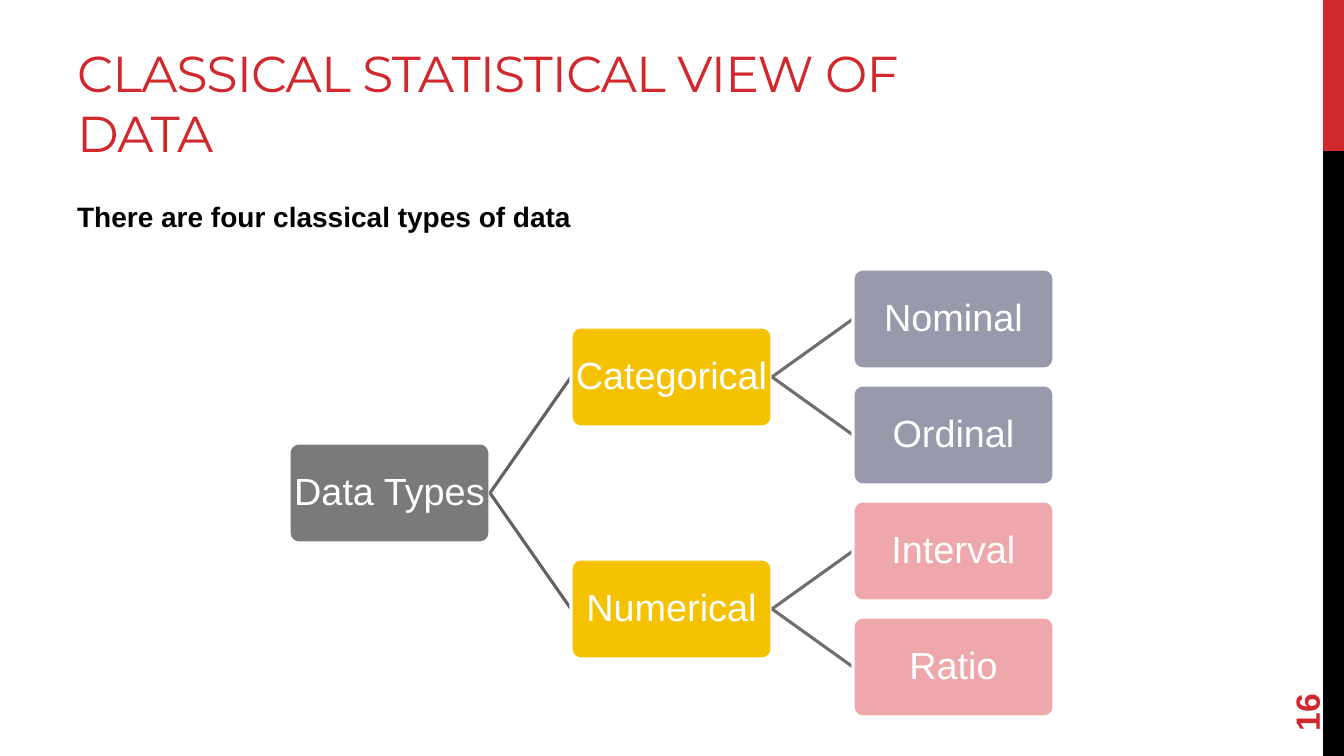
from lxml.etree import SubElement
from pptx import Presentation
from pptx.dml.color import RGBColor
from pptx.enum.shapes import MSO_CONNECTOR, MSO_SHAPE
from pptx.enum.text import MSO_ANCHOR, MSO_AUTO_SIZE, PP_ALIGN
from pptx.oxml.ns import qn
from pptx.util import Pt

PX = 914400 / 100.8  # EMU in one px
COLORS = {
    "red": "D1282E", "black": "000000", "white": "FFFFFF", "gray": "7A7A7A",
    "gold": "F5C201", "slate": "989AAC", "pink": "EEA7AA",
    "root_link": "626262", "leaf_link": "6F6F6F",
}

# Tree layout, in px
COL_X, COL_STEP = 289, 282
ROW_Y, ROW_STEP = 269, 116
NODE_W, NODE_H = 201, 100
LINK_COLORS = ["root_link", "leaf_link"]

# Each node: label, colour, row, children
TREE = ("Data Types", "gray", 1.5, [
    ("Categorical", "gold", 0.5, [
        ("Nominal", "slate", 0, []), ("Ordinal", "slate", 1, [])]),
    ("Numerical", "gold", 2.5, [
        ("Interval", "pink", 2, []), ("Ratio", "pink", 3, [])]),
])


def px(*values):
    return [round(v * PX) for v in values]


def rgb(name):
    return RGBColor.from_string(COLORS[name])


def write(sp, text, color, font, frame, para):
    """Put one formatted paragraph in a shape."""
    tf = sp.text_frame
    for name, value in frame.items():
        setattr(tf, name, value)
    p = tf.paragraphs[0]
    for name, value in para.items():
        setattr(p, name, value)
    r = p.add_run()
    r.text = text
    for name, value in font.items():
        setattr(r.font, name, value)
    r.font.color.rgb = rgb(color)
    return p, r


def place(sp, *box):
    sp.left, sp.top, sp.width, sp.height = px(*box)


def add_box(s, kind, box, color):
    sp = s.shapes.add_shape(kind, *px(*box))
    sp.shadow.inherit = False
    sp.fill.solid()
    sp.fill.fore_color.rgb = rgb(color)
    sp.line.fill.background()
    return sp


def add_link(s, parent, color):
    cn = s.shapes.add_connector(MSO_CONNECTOR.STRAIGHT, 0, 0, 0, 0)
    cn.begin_connect(parent, 3)
    cn.line.color.rgb = rgb(color)
    cn.line.width = Pt(2.25)
    SubElement(cn._element.spPr, qn("a:effectLst"))
    return cn


def add_node(s, node, level=0):
    """Draw a node, then each link followed by the child that it reaches."""
    label, color, row, children = node
    box = (COL_X + level * COL_STEP, ROW_Y + row * ROW_STEP, NODE_W, NODE_H)
    sp = add_box(s, MSO_SHAPE.ROUNDED_RECTANGLE, box, color)
    sp.adjustments[0] = 0.1
    sp.line.color.rgb = rgb("white")
    sp.line.width = Pt(2.25)
    margins = dict.fromkeys(
        ["margin_left", "margin_top", "margin_right", "margin_bottom"], px(2)[0])
    write(sp, label, "white", {"name": "Arial", "size": Pt(27)},
          {"word_wrap": False, "vertical_anchor": MSO_ANCHOR.MIDDLE, **margins},
          {"alignment": PP_ALIGN.CENTER, "line_spacing": 0.9})
    for child in children:
        cn = add_link(s, sp, LINK_COLORS[level])
        cn.end_connect(add_node(s, child, level + 1), 1)
    return sp


def add_title(s, text):
    sp = s.shapes.title
    place(sp, 67, 17, 851, 151)
    p, r = write(sp, text, "red", {"name": "Montserrat", "size": Pt(36)},
                 {"vertical_anchor": MSO_ANCHOR.BOTTOM, "word_wrap": True,
                  "auto_size": MSO_AUTO_SIZE.NONE},
                 {"alignment": PP_ALIGN.LEFT})
    r.font._element.set("spc", "-60")


def add_body(s, text):
    sp = s.placeholders[1]
    place(sp, 67, 194, 1120, 482)
    p, r = write(sp, text, "black",
                 {"name": "Arial", "size": Pt(20), "bold": True},
                 {"word_wrap": True, "auto_size": MSO_AUTO_SIZE.NONE},
                 {"space_before": Pt(0), "space_after": Pt(6)})
    pPr = p._p.get_or_add_pPr()
    pPr.set("marL", "0")
    pPr.set("indent", "0")
    SubElement(pPr, qn("a:buNone"))


def add_page_number(s, text):
    sp = s.shapes.add_textbox(*px(1234, 642, 145, 53))
    sp.rotation = 270
    write(sp, text, "red", {"name": "Arial", "size": Pt(24), "bold": True},
          {"word_wrap": True, "vertical_anchor": MSO_ANCHOR.MIDDLE}, {})


def main():
    prs = Presentation()
    prs.slide_width, prs.slide_height = px(1344, 756)
    s = prs.slides.add_slide(prs.slide_layouts[1])

    # Side band
    add_box(s, MSO_SHAPE.RECTANGLE, (1323, 0, 21, 151), "red")
    add_box(s, MSO_SHAPE.RECTANGLE, (1323, 151, 21, 605), "black")

    # Text
    add_title(s, "CLASSICAL STATISTICAL VIEW OF DATA")
    add_body(s, "There are four classical types of data")
    add_page_number(s, "16")

    # Tree of data types
    add_node(s, TREE)
    prs.save("out.pptx")


if __name__ == "__main__":
    main()
